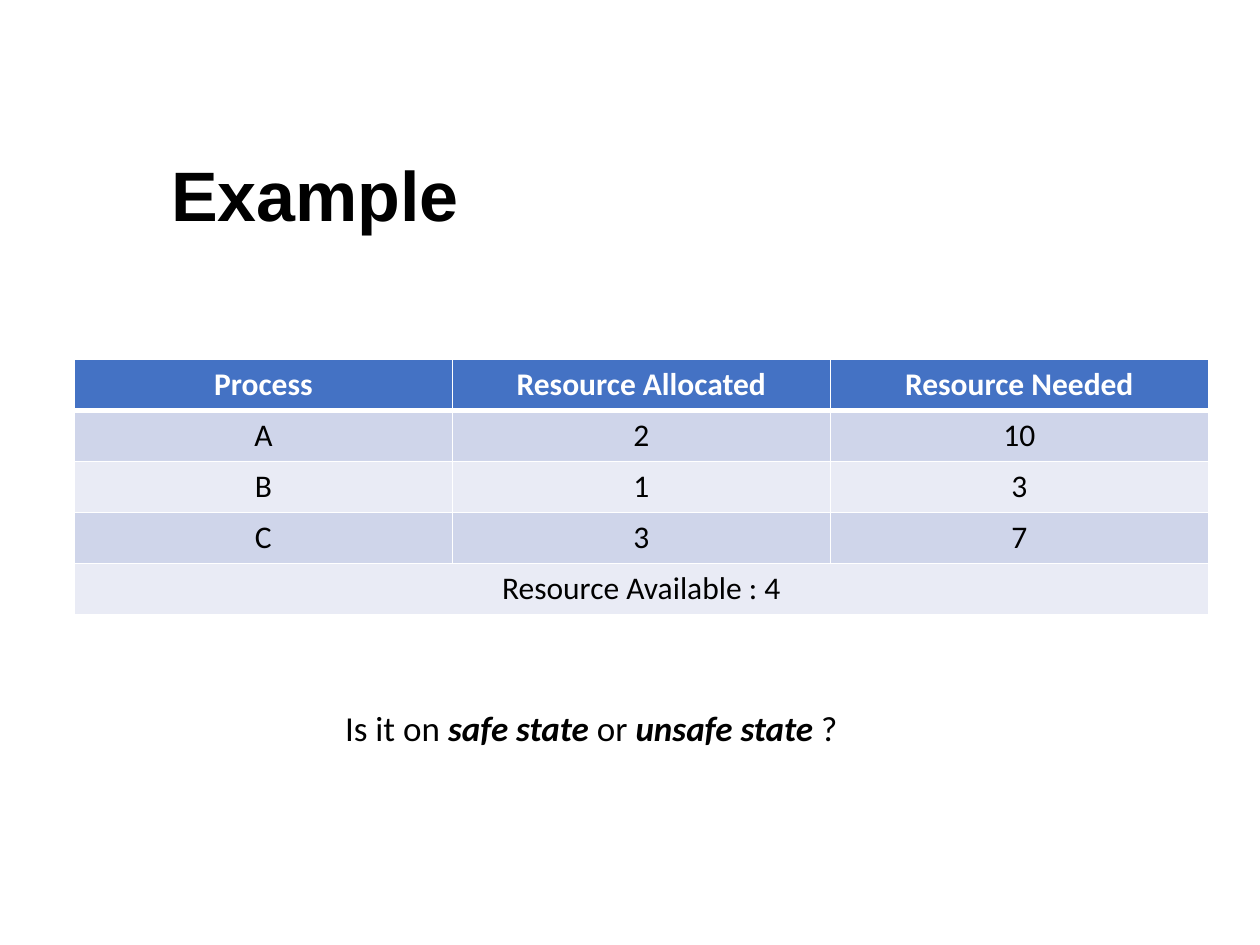
from lxml import etree
from pptx import Presentation
from pptx.dml.color import RGBColor
from pptx.enum import text
from pptx.oxml.ns import qn
from pptx.util import Inches, Pt

HEADERS = ["Process", "Resource Allocated", "Resource Needed"]
PROCESSES = [["A", "2", "10"], ["B", "1", "3"], ["C", "3", "7"]]
AVAILABLE = "Resource Available : 4"
HEADER_FILL, BANDS = "4472C4", ("CFD5EA", "E9EBF5")
BLACK, WHITE = "000000", "FFFFFF"


def rgb(value):
    return RGBColor.from_string(value)


def add_run(p, content, color=BLACK, **formats):
    r = p.add_run()
    r.text = content
    r.font.color.rgb = rgb(color)
    for name, value in formats.items():
        setattr(r.font, name, value)


def add_text(s, box, runs, wrap, anchor, line_spacing=None, **formats):
    """Add one paragraph from (text, extra formats) pairs."""
    tf = s.shapes.add_textbox(*map(Inches, box)).text_frame
    tf.word_wrap = wrap
    tf.vertical_anchor = anchor
    p = tf.paragraphs[0]
    p.line_spacing = line_spacing
    for content, extra in runs:
        add_run(p, content, **{**formats, **extra})
    return tf


def add_title(s, box):
    add_text(s, box, [("Example", {})], True, text.MSO_ANCHOR.MIDDLE, 0.9,
             name="Arial", size=Pt(40), bold=True)


def set_borders(cell, bottom):
    """Draw white borders, 1 pt wide except for the bottom one."""
    tcPr = cell._tc.get_or_add_tcPr()
    widths = {"lnL": 1, "lnR": 1, "lnT": 1, "lnB": bottom}
    for i, (tag, width) in enumerate(widths.items()):
        ln = etree.Element(qn(f"a:{tag}"), w=str(Pt(width)))
        fill = etree.SubElement(ln, qn("a:solidFill"))
        etree.SubElement(fill, qn("a:srgbClr"), val=WHITE)
        tcPr.insert(i, ln)


def add_resource_table(s, box):
    rows = [HEADERS, *PROCESSES, [AVAILABLE, "", ""]]
    table = s.shapes.add_table(len(rows), len(HEADERS),
                               *map(Inches, box)).table
    last = len(rows) - 1
    table.cell(last, 0).merge(table.cell(last, len(HEADERS) - 1))
    for i, row in enumerate(rows):
        header = i == 0
        for j, content in enumerate(row):
            cell = table.cell(i, j)
            cell.fill.solid()
            cell.fill.fore_color.rgb = rgb(
                HEADER_FILL if header else BANDS[(i - 1) % 2])
            set_borders(cell, 3 if header else 1)
            if content:
                p = cell.text_frame.paragraphs[0]
                p.alignment = text.PP_ALIGN.CENTER
                add_run(p, content, WHITE if header else BLACK,
                        name="Calibri", size=Pt(18), bold=header)


def add_question(s, box):
    strong = {"bold": True, "italic": True}
    runs = [("Is it on ", {}), ("safe state", strong), (" or ", {}),
            ("unsafe state", strong), (" ?", {})]
    tf = add_text(s, box, runs, False, text.MSO_ANCHOR.TOP,
                  name="Calibri", size=Pt(20))
    tf.auto_size = text.MSO_AUTO_SIZE.SHAPE_TO_FIT_TEXT


def main():
    prs = Presentation()
    prs.slide_width, prs.slide_height = Inches(10), Inches(7.5)
    s = prs.slides.add_slide(prs.slide_layouts[6])
    add_title(s, (1.26, 1.13, 7.99, 0.89))
    add_resource_table(s, (0.59, 2.85, 9, 2.03))
    add_question(s, (2.64, 5.56, 4.9, 0.44))
    prs.save("out.pptx")


if __name__ == "__main__":
    main()
